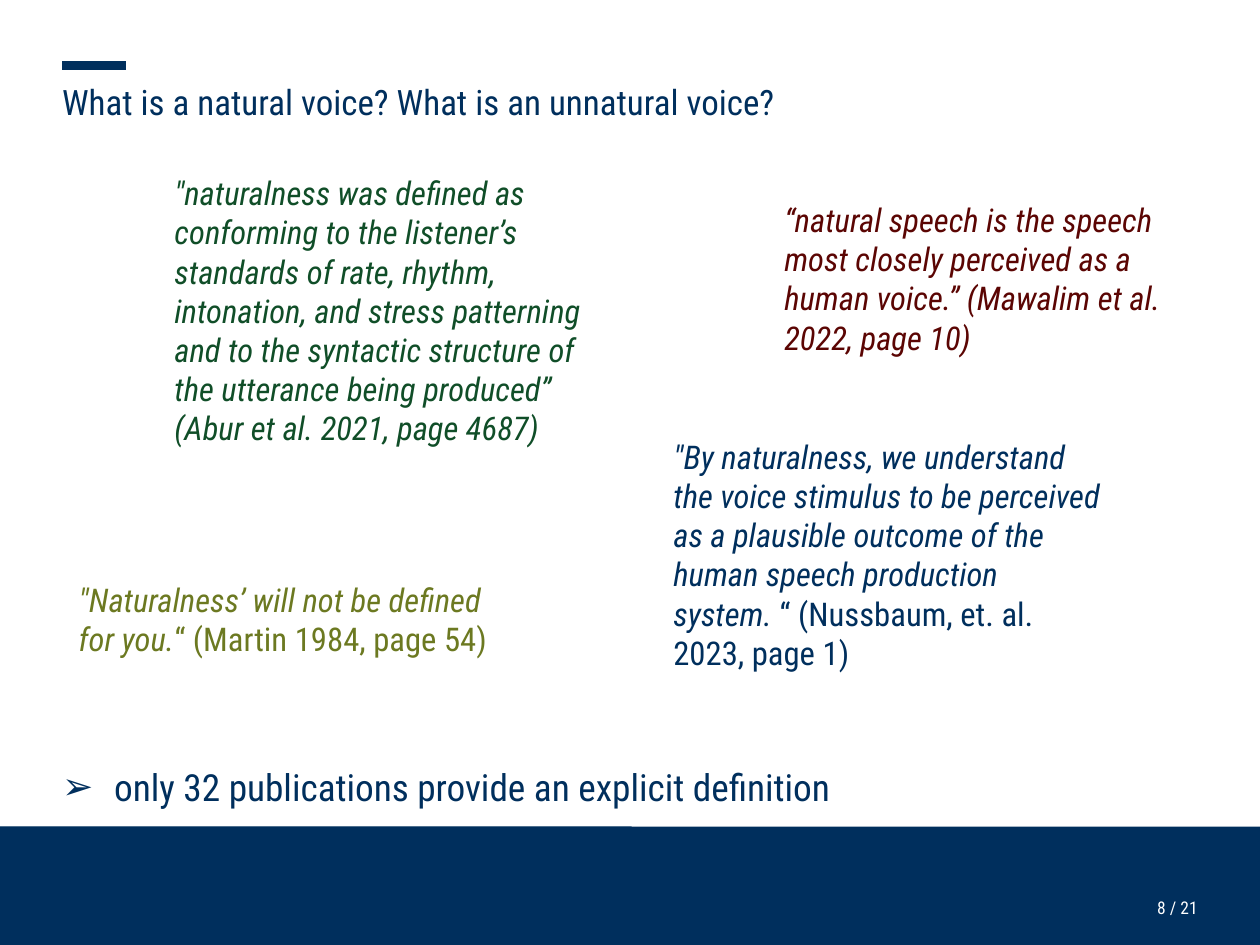
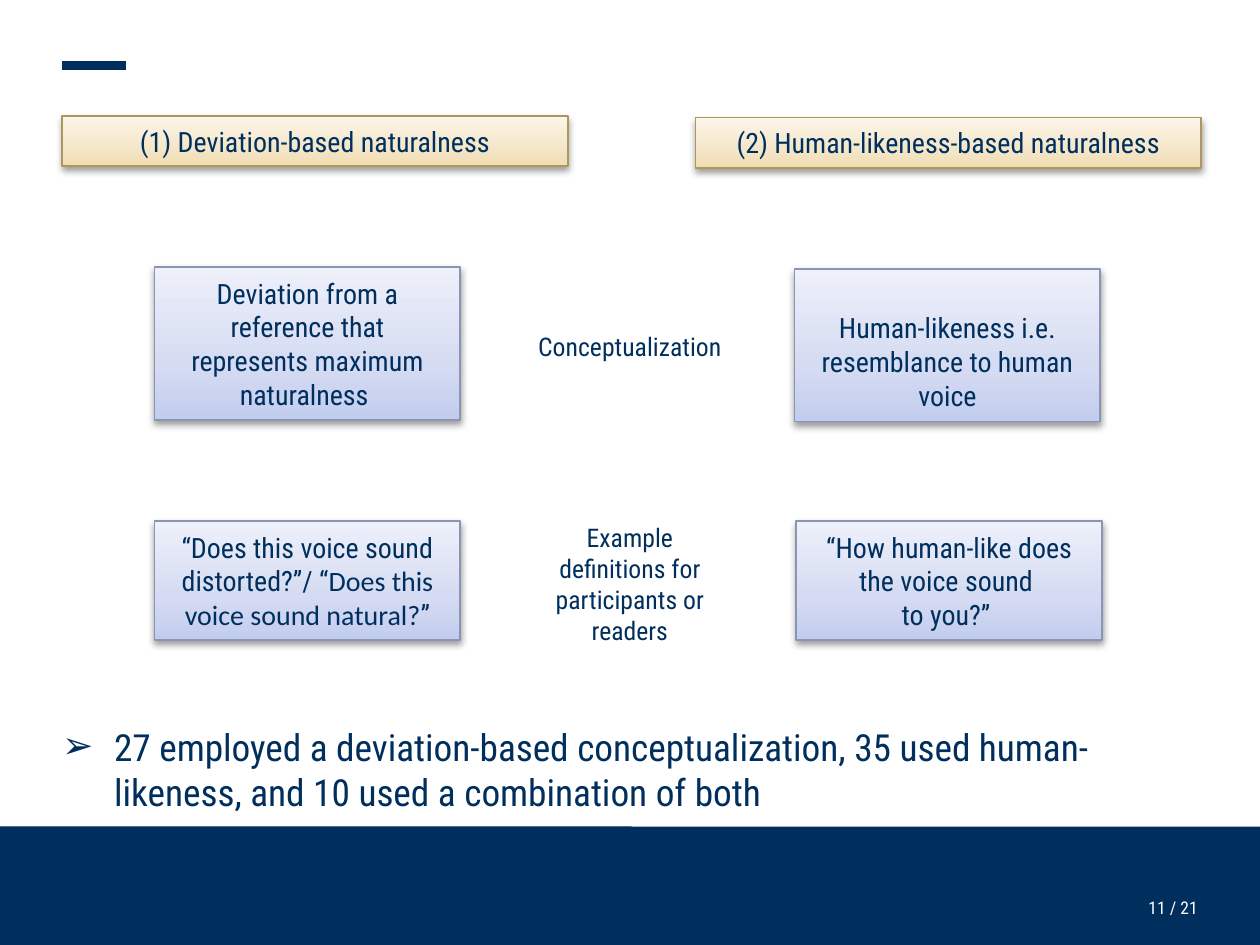
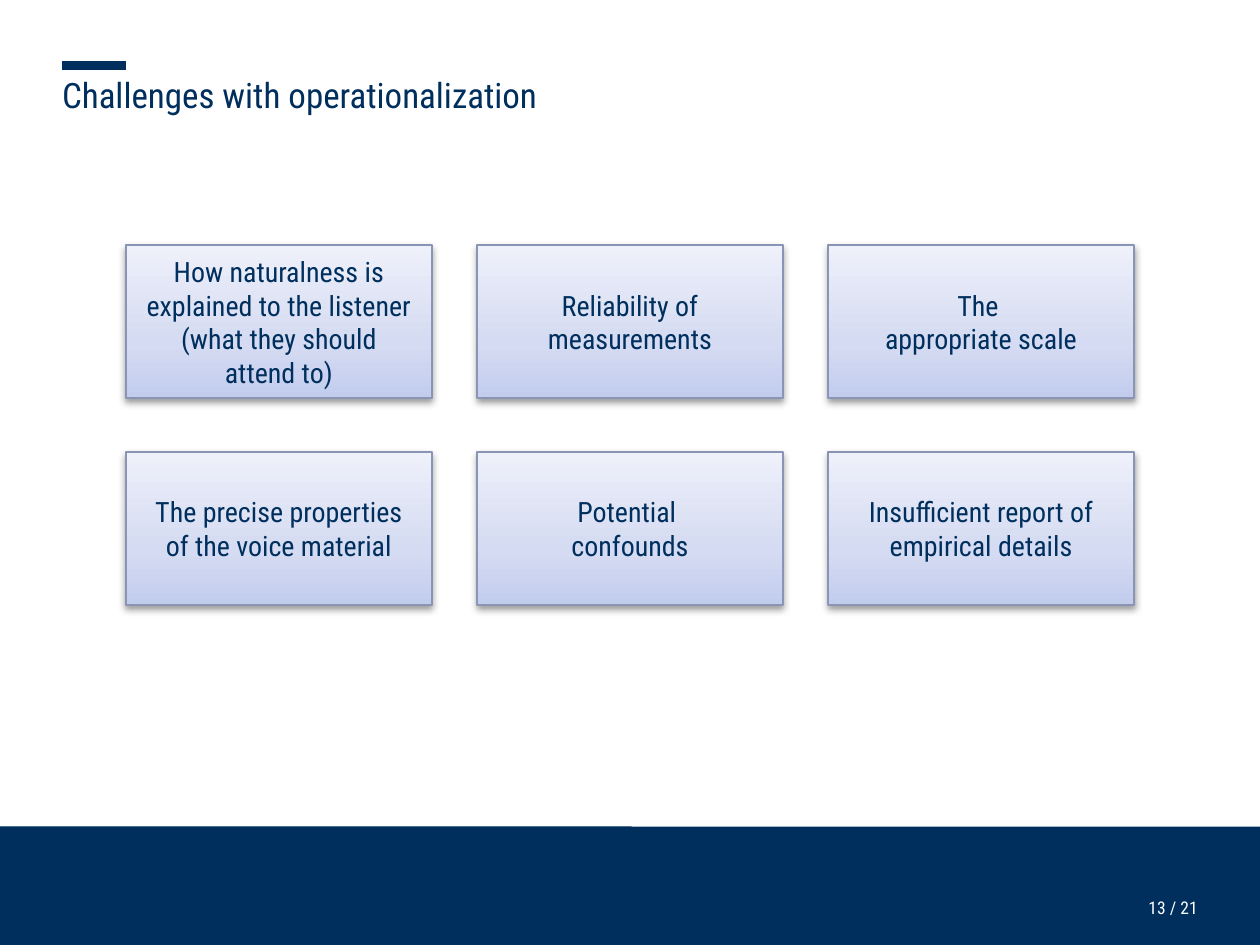
"""Build three slides on defining and measuring voice naturalness."""
from lxml import etree
from pptx import Presentation
from pptx.dml.color import RGBColor
from pptx.enum.shapes import MSO_CONNECTOR, MSO_SHAPE
from pptx.enum.text import MSO_ANCHOR, PP_ALIGN
from pptx.oxml.ns import qn
from pptx.util import Inches, Pt

RECT, STRAIGHT = MSO_SHAPE.RECTANGLE, MSO_CONNECTOR.STRAIGHT
LEFT, CENTER, RIGHT = PP_ALIGN.LEFT, PP_ALIGN.CENTER, PP_ALIGN.RIGHT
TOP, MIDDLE = MSO_ANCHOR.TOP, MSO_ANCHOR.MIDDLE

WIDTH = 7.5
HEIGHT = WIDTH * 3 / 4
MARGIN, CONTENT_WIDTH = 0.37, 6.64
BAND_TOP = 4.92
FONT, NAVY, WHITE = "Roboto Condensed", "002F5D", "FFFFFF"
GREEN, MAROON, OLIVE = "104E28", "5B0503", "6C7921"
PAGE_COUNT = 21
INSET_X, INSET_Y, BOX_INSET_X = 0.1, 0.05, 0.11
ITALIC = {"italic": True}

BLUE_STYLE = {"line": "8A94B4", "stops": [(0, "C2CCED"), (35, "D4DBF2"), (100, "EEF0FA")]}
GOLD_STYLE = {"line": "AC975F", "stops": [(0, "F1DCB0"), (35, "F4E6C8"), (100, "FCF5E9")]}

QUOTES = [
    (0.94, 0.98, 1.75, GREEN, [(
        "\"naturalness was defined as conforming to the listener’s standards of rate, "
        "rhythm, intonation, and stress patterning and to the syntactic structure of "
        "the utterance being produced” (Abur et al. 2021, page 4687)", ITALIC)]),
    (4.57, 1.14, 1.04, MAROON, [(
        "“natural speech is the speech most closely perceived as a human voice.” "
        "(Mawalim et al. 2022, page 10)", ITALIC)]),
    (0.37, 3.4, 0.57, OLIVE, [
        ("\"Naturalness’ will not be defined for you.", ITALIC),
        ("“ (Martin 1984, page 54)", {})]),
    (3.91, 2.55, 1.51, NAVY, [
        ("\"By naturalness, we understand the voice stimulus to be perceived as a "
         "plausible outcome of the human speech production system. ", ITALIC),
        ("“ (Nussbaum, et. al. 2023, page 1)", {})]),
]
QUOTE_WIDTH = 2.75

CONCEPTS = [
    {"heading": "(1) Deviation-based naturalness", "heading_at": (0.37, 0.69),
     "idea": ["Deviation from a reference that represents maximum naturalness "],
     "idea_at": (0.92, 1.59), "idea_inset": INSET_Y, "example_at": (0.92, 3.1),
     "example": [[("“Does this voice sound distorted?”/ “", {}),
                  ("Does this voice sound natural?", {"font": "Calibri"}), ("”", {})]]},
    {"heading": "(2) Human-likeness-based naturalness", "heading_at": (4.14, 0.7),
     "idea": ["Human-likeness i.e. resemblance to human voice"],
     "idea_at": (4.73, 1.6), "idea_inset": 0.24, "example_at": (4.74, 3.1),
     "example": ["“How human-like does the voice sound ", "to you?” "]},
]
ROW_LABELS = [
    (1.92, 0.29, "Conceptualization", False),
    (3.06, 0.84, "Example definitions for participants or readers", True),
]
HEADING_SIZE = (3.01, 0.3)
IDEA_SIZE = (1.82, 0.91)
EXAMPLE_SIZE = (1.82, 0.71)

CHALLENGES = [
    [["How naturalness is explained to the listener (what they should attend to)"],
     ["Reliability of measurements"],
     ["The ", "appropriate scale"]],
    [["The precise properties of the voice material"],
     ["Potential ", "confounds"],
     ["Insufficient report of empirical details"]],
]
GRID_LEFT, GRID_TOP, COLUMN_STEP, ROW_STEP = 0.75, 1.46, 2.09, 1.23


def rgb(value):
    """Turn a hex string into a colour."""
    return RGBColor.from_string(value)


def inches(*lengths):
    """Convert lengths to slide units."""
    return [Inches(length) for length in lengths]


def write(shape, paragraphs, size, color=NAVY, align=LEFT, anchor=TOP,
          insets=(INSET_X, INSET_Y), wrap=True):
    """Fill a shape with paragraphs, each a string or a list of runs."""
    frame = shape.text_frame
    frame.word_wrap, frame.vertical_anchor = wrap, anchor
    frame.margin_left = frame.margin_right = Inches(insets[0])
    frame.margin_top = Inches(insets[1])
    frame.margin_bottom = Inches(min(insets[1], INSET_Y))
    for index, content in enumerate(paragraphs):
        paragraph = frame.add_paragraph() if index else frame.paragraphs[0]
        paragraph.alignment = align
        for text, style in [(content, {})] if isinstance(content, str) else content:
            run = paragraph.add_run()
            run.text = text
            run.font.size = Pt(size)
            run.font.name = style.get("font", FONT)
            run.font.italic = style.get("italic", False)
            run.font.color.rgb = rgb(color)


def add_text(slide, at, paragraphs, size, **style):
    """Add a text box."""
    write(slide.shapes.add_textbox(*inches(*at)), paragraphs, size, **style)


def add_panel(slide, at, fill, line=None):
    """Add a flat rectangle."""
    panel = slide.shapes.add_shape(RECT, *inches(*at))
    panel.shadow.inherit = False
    panel.fill.solid()
    panel.fill.fore_color.rgb = rgb(fill)
    if line:
        panel.line.color.rgb = rgb(line)
        panel.line.width = Pt(2)
    else:
        panel.line.fill.background()
    return panel


def add_color(parent, value, alpha=None):
    """Append a colour element with optional opacity in percent."""
    color = etree.SubElement(parent, qn("a:srgbClr"), val=value)
    if alpha is not None:
        etree.SubElement(color, qn("a:alpha"), val=str(alpha * 1000))


def add_box(slide, at, paragraphs, style=BLUE_STYLE, top_inset=INSET_Y):
    """Add a gradient box with a soft shadow and centred text."""
    box = slide.shapes.add_shape(RECT, *inches(*at))
    box.fill.gradient()
    box.fill.gradient_angle = 90
    stops = box._element.spPr.find(qn("a:gradFill")).find(qn("a:gsLst"))
    for stop in list(stops):
        stops.remove(stop)
    for position, color in style["stops"]:
        add_color(etree.SubElement(stops, qn("a:gs"), pos=str(position * 1000)), color)
    box.line.color.rgb = rgb(style["line"])
    box.line.width = Pt(0.75)
    box.shadow.inherit = False
    shadow = etree.SubElement(
        box._element.spPr.find(qn("a:effectLst")), qn("a:outerShdw"),
        blurRad=str(Pt(3.1)), dist=str(Pt(1.6)), dir=str(90 * 60000), rotWithShape="0")
    add_color(shadow, "000000", 38)
    write(box, paragraphs, 12, align=CENTER, anchor=MIDDLE, insets=(BOX_INSET_X, top_inset))


def add_title(slide, top, title):
    """Add the slide title."""
    panel = add_panel(slide, (MARGIN, top, CONTENT_WIDTH, 0.3), WHITE, WHITE)
    write(panel, [title], 15, insets=(0, 0))


def add_finding(slide, top, height, finding):
    """Add the bulleted finding above the footer."""
    panel = add_panel(slide, (MARGIN, top, CONTENT_WIDTH, height), WHITE, WHITE)
    write(panel, [finding], 16, insets=(0, 0))
    properties = panel.text_frame.paragraphs[0]._p.get_or_add_pPr()
    properties.set("marL", str(Inches(0.31)))
    properties.set("indent", str(Inches(-0.31)))
    etree.SubElement(properties, qn("a:buFont"), typeface=FONT)
    etree.SubElement(properties, qn("a:buChar"), char="➢")


def new_slide(deck, number):
    """Add a slide with footer band, page number and accent line."""
    slide = deck.slides.add_slide(deck.slide_layouts[6])
    add_panel(slide, (0, BAND_TOP, WIDTH, HEIGHT - BAND_TOP), NAVY)
    strip = add_panel(slide, (0, BAND_TOP, 3.76, 0.04), NAVY)
    strip_color = strip._element.spPr.find(qn("a:solidFill"))[0]
    etree.SubElement(strip_color, qn("a:alpha"), val="80000")
    add_text(slide, (2.89, 5.34, 4.24, 0.17), [f"{number} / {PAGE_COUNT}"], 7.5,
             color=WHITE, align=RIGHT, insets=(0, 0))
    accent = slide.shapes.add_connector(STRAIGHT, *inches(MARGIN, 0.39, 0.75, 0.39))
    accent.line.color.rgb = rgb(NAVY)
    accent.line.width = Pt(3.5)
    etree.SubElement(accent._element.spPr, qn("a:effectLst"))
    return slide


def build_definitions(deck):
    """Quotes that define naturalness."""
    slide = new_slide(deck, 8)
    add_title(slide, 0.48, "What is a natural voice? What is an unnatural voice?")
    for left, top, height, color, runs in QUOTES:
        add_text(slide, (left, top, QUOTE_WIDTH, height), [runs], 14, color=color)
    add_finding(slide, 4.55, 0.3, "only 32 publications provide an explicit definition")


def build_concepts(deck):
    """Two concepts of naturalness side by side."""
    slide = new_slide(deck, 11)
    for top, height, label, wrap in ROW_LABELS:
        add_text(slide, (3.1, top, 1.3, height), [label], 11, align=CENTER, wrap=wrap)
    for concept in CONCEPTS:
        add_box(slide, concept["heading_at"] + HEADING_SIZE, [concept["heading"]], GOLD_STYLE)
        add_box(slide, concept["idea_at"] + IDEA_SIZE, concept["idea"],
                top_inset=concept["idea_inset"])
        add_box(slide, concept["example_at"] + EXAMPLE_SIZE, concept["example"])
    add_finding(slide, 4.31, 0.55, "27 employed a deviation-based conceptualization, 35 used "
                "human-likeness, and 10 used a combination of both")


def build_challenges(deck):
    """Grid of challenges."""
    slide = new_slide(deck, 13)
    add_title(slide, 0.44, "Challenges with operationalization")
    for row, challenges in enumerate(CHALLENGES):
        for column, challenge in enumerate(challenges):
            corner = (GRID_LEFT + column * COLUMN_STEP, GRID_TOP + row * ROW_STEP)
            add_box(slide, corner + IDEA_SIZE, challenge)


def main():
    """Build and save the deck."""
    deck = Presentation()
    deck.slide_width, deck.slide_height = inches(WIDTH, HEIGHT)
    build_definitions(deck)
    build_concepts(deck)
    build_challenges(deck)
    deck.save("out.pptx")


if __name__ == "__main__":
    main()
